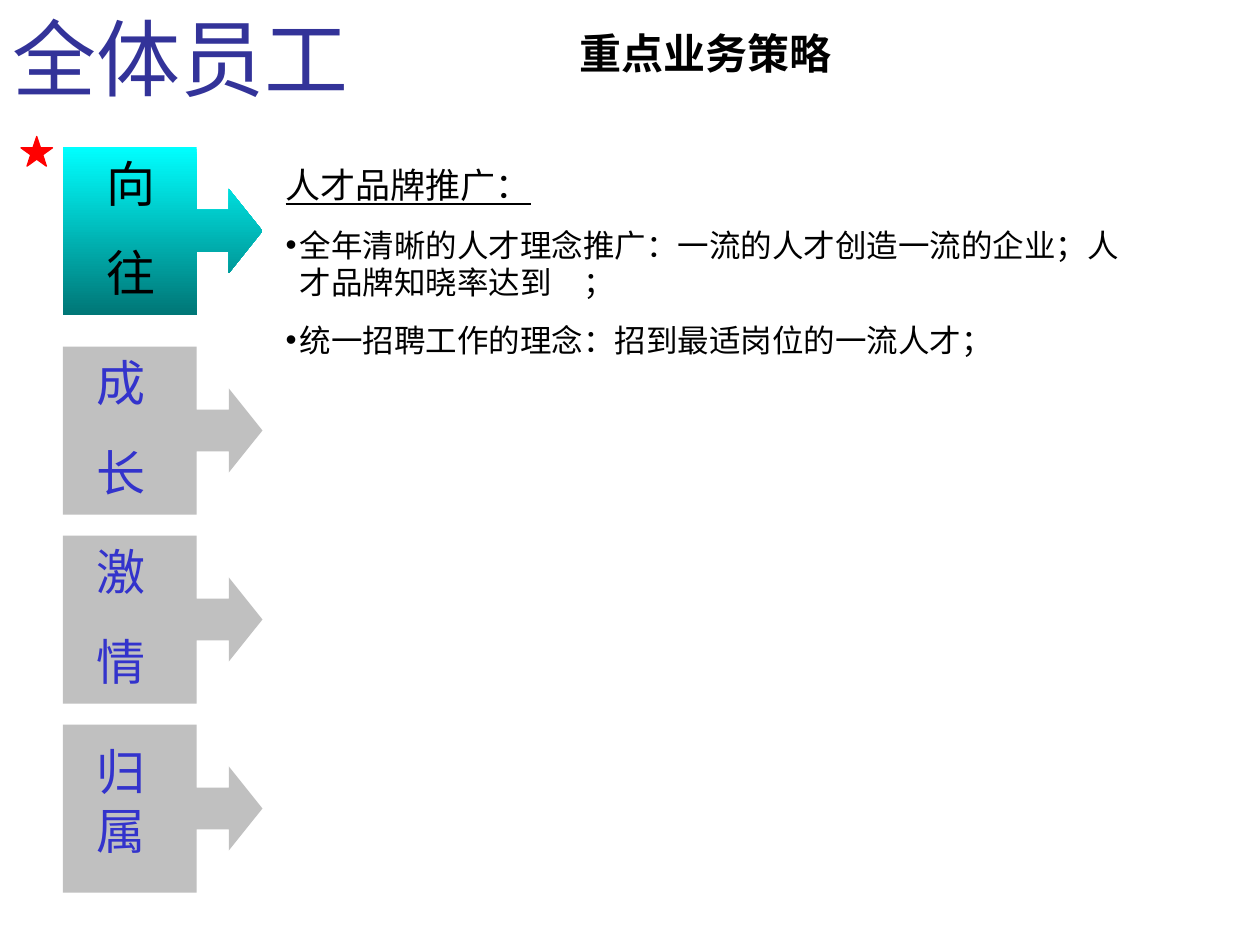
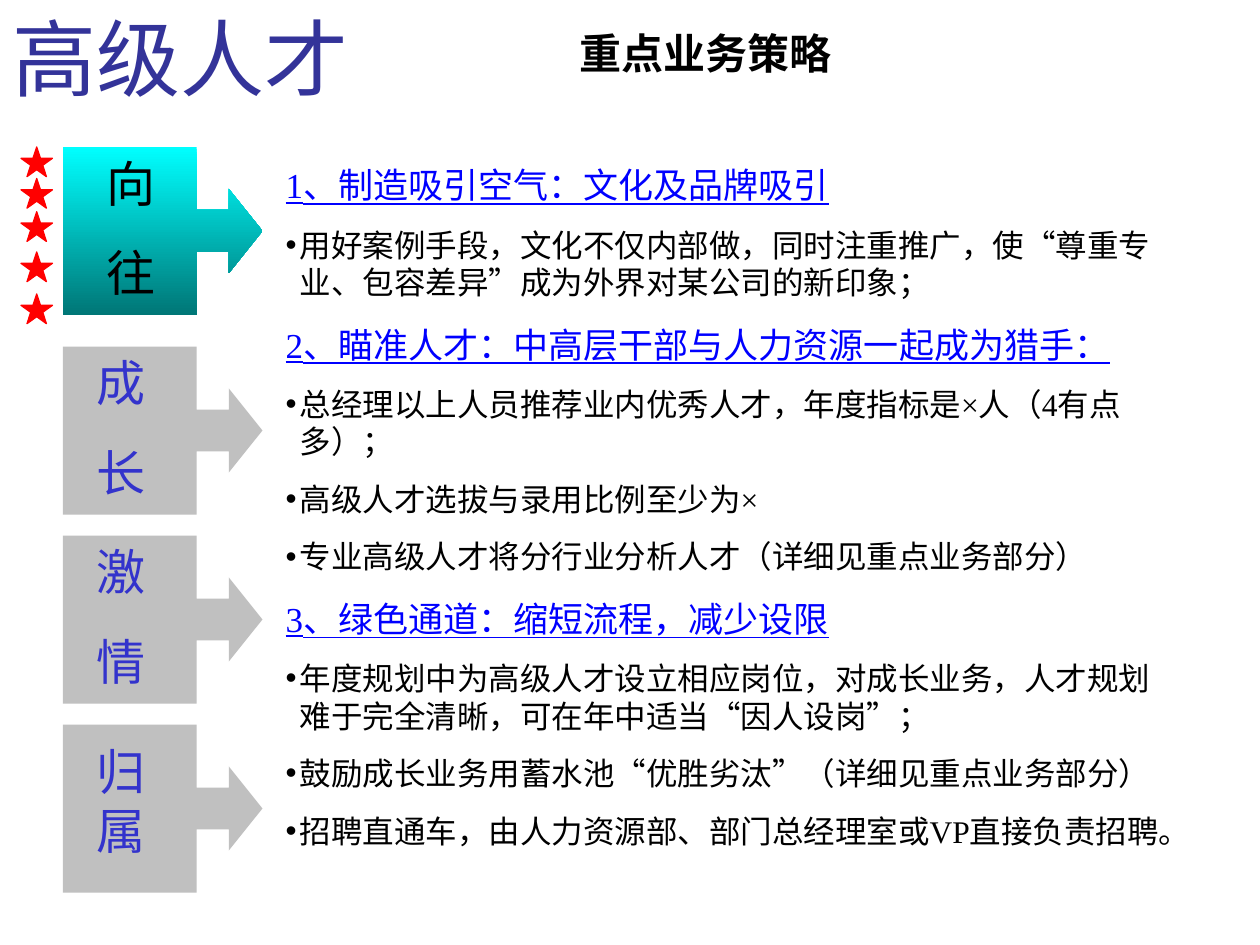
from dataclasses import dataclass

from lxml import etree
from pptx import Presentation
from pptx.dml.color import RGBColor as RGB
from pptx.enum.shapes import MSO_SHAPE as SHAPE
from pptx.enum.text import MSO_ANCHOR as ANCHOR, MSO_AUTO_SIZE as AUTO_SIZE, PP_ALIGN as ALIGN
from pptx.oxml.ns import qn
from pptx.util import Pt


@dataclass(frozen=True)
class Theme:
    title_font: str = "Cabin"
    text_font: str = "Times New Roman"
    title: RGB = RGB(0x33, 0x33, 0x99)
    text: RGB = RGB(0, 0, 0)
    heading: RGB = RGB(0, 0, 0xFF)
    idle_label: RGB = RGB(0x33, 0x33, 0xCC)
    idle_stage: RGB = RGB(0xC0, 0xC0, 0xC0)
    active_top: RGB = RGB(0, 0xFF, 0xFF)
    active_bottom: RGB = RGB(0, 0x76, 0x76)
    star: RGB = RGB(0xFF, 0, 0)
    title_size: int = 48
    label_size: int = 28
    topic_size: int = 24
    heading_size: int = 20
    bullet_size: int = 18


THEME = Theme()
HANG = 8
ACTIVE_TOP, IDLE_TOP, IDLE_STEP = 84, 198, 108
IDLE_STAGES = (["成", "长"], ["激", "情"], ["归属"])


def place(shape, left, top, width, height):
    shape.left, shape.top = Pt(left), Pt(top)
    shape.width, shape.height = Pt(width), Pt(height)


def prepare_frame(shape, anchor=ANCHOR.TOP):
    frame = shape.text_frame
    frame.word_wrap = True
    frame.auto_size = AUTO_SIZE.NONE
    frame.vertical_anchor = anchor
    return frame


def format_runs(paragraph, size, color, font=THEME.text_font, bold=False, underline=False):
    paragraph.alignment = ALIGN.LEFT
    for run in paragraph.runs:
        run.font.name = font
        run.font.size = Pt(size)
        run.font.color.rgb = color
        run.font.bold = bold
        run.font.underline = underline


def add_paragraphs(frame, texts, gaps):
    """Fill the frame, with a gap in points before each paragraph but the first."""
    frame.text = "\n".join(texts)
    for index, (paragraph, gap) in enumerate(zip(frame.paragraphs, gaps)):
        paragraph.space_before = Pt(gap if index else 0)
    return frame.paragraphs


def set_hanging_bullet(paragraph, bulleted):
    props = paragraph._p.get_or_add_pPr()
    props.set("marL", str(Pt(HANG)))
    props.set("indent", str(-Pt(HANG)))
    if bulleted:
        bullet_color = etree.SubElement(props, qn("a:buClr"))
        etree.SubElement(bullet_color, qn("a:srgbClr"), val=str(THEME.text))
        etree.SubElement(props, qn("a:buChar"), char="•")
    else:
        etree.SubElement(props, qn("a:buNone"))


def add_title(slide, audience):
    title = slide.shapes.title
    place(title, 0, 0, 698, 44)
    frame = prepare_frame(title)
    frame.text = audience
    format_runs(frame.paragraphs[0], THEME.title_size, THEME.title, THEME.title_font)


def add_topic(slide):
    topic = slide.shapes.add_textbox(Pt(324), 0, Pt(396), Pt(60))
    frame = prepare_frame(topic, ANCHOR.MIDDLE)
    frame.text = "重点业务策略"
    format_runs(frame.paragraphs[0], THEME.topic_size, THEME.text, bold=True)


def add_stage(slide, top, active=False):
    stage = slide.shapes.add_shape(SHAPE.RIGHT_ARROW_CALLOUT, Pt(36), Pt(top), Pt(114), Pt(96))
    for index, value in enumerate((0.25, 0.25, 0.2, 0.67)):
        stage.adjustments[index] = value
    stage.shadow.inherit = False
    stage.line.fill.background()
    if active:
        stage.fill.gradient()
        stage.fill.gradient_angle = 270
        for stop, color in zip(stage.fill.gradient_stops, (THEME.active_top, THEME.active_bottom)):
            stop.color.rgb = color
    else:
        stage.fill.solid()
        stage.fill.fore_color.rgb = THEME.idle_stage


def add_label(slide, left, top, lines, color):
    label = slide.shapes.add_textbox(Pt(left), Pt(top), Pt(54), Pt(92 if len(lines) > 1 else 75))
    for paragraph in add_paragraphs(prepare_frame(label), lines, [17.5] * len(lines)):
        format_runs(paragraph, THEME.label_size, color)


def add_stages(slide):
    add_stage(slide, ACTIVE_TOP, active=True)
    add_label(slide, 54, ACTIVE_TOP, ["向", "往"], THEME.text)
    for index, lines in enumerate(IDLE_STAGES):
        top = IDLE_TOP + index * IDLE_STEP
        add_stage(slide, top)
        one_line_offset = 6 if len(lines) == 1 else 0
        add_label(slide, 48, top + one_line_offset, lines, THEME.idle_label)


def add_star(slide, top):
    star = slide.shapes.add_shape(SHAPE.STAR_5_POINT, Pt(12), Pt(top), Pt(18), Pt(17))
    star.shadow.inherit = False
    star.fill.solid()
    star.fill.fore_color.rgb = THEME.star
    star.line.color.rgb = THEME.star
    star.line.width = Pt(0.75)


def add_strategies(slide, sections, width, height, heading_color):
    """Write each section's underlined heading and its bullets in the body placeholder."""
    body = slide.placeholders[1]
    place(body, 156, 90, width, height)
    entries = [(text, index > 0)
               for heading, bullets in sections
               for index, text in enumerate([heading, *bullets])]
    gaps = [11.25 if bulleted else 12.5 for _, bulleted in entries]
    paragraphs = add_paragraphs(prepare_frame(body), [text for text, _ in entries], gaps)
    for paragraph, (_, bulleted) in zip(paragraphs, entries):
        set_hanging_bullet(paragraph, bulleted)
        if bulleted:
            format_runs(paragraph, THEME.bullet_size, THEME.text)
        else:
            format_runs(paragraph, THEME.heading_size, heading_color, underline=True)


def add_strategy_slide(deck, audience, star_tops, sections, width, height, heading_color):
    slide = deck.slides.add_slide(deck.slide_layouts[1])
    add_title(slide, audience)
    add_stages(slide)
    add_strategies(slide, sections, width, height, heading_color)
    add_topic(slide)
    for top in star_tops:
        add_star(slide, top)


def main():
    deck = Presentation()
    deck.slide_width, deck.slide_height = Pt(720), Pt(540)

    all_staff = [
        ("人才品牌推广：", [
            "全年清晰的人才理念推广：一流的人才创造一流的企业；人才品牌知晓率达到　；",
            "统一招聘工作的理念：招到最适岗位的一流人才；",
        ]),
    ]
    add_strategy_slide(deck, "全体员工", [78], all_staff, 498, 152, THEME.text)

    senior_talent = [
        ("1、制造吸引空气：文化及品牌吸引", [
            "用好案例手段，文化不仅内部做，同时注重推广，使“尊重专业、包容差异”成为外界对某公司的新印象；",
        ]),
        ("2、瞄准人才：中高层干部与人力资源一起成为猎手：", [
            "总经理以上人员推荐业内优秀人才，年度指标是×人（4有点多）；",
            "高级人才选拔与录用比例至少为×",
            "专业高级人才将分行业分析人才（详细见重点业务部分）",
        ]),
        ("3、绿色通道：缩短流程，减少设限", [
            "年度规划中为高级人才设立相应岗位，对成长业务，人才规划难于完全清晰，可在年中适当“因人设岗”；",
            "鼓励成长业务用蓄水池“优胜劣汰”（详细见重点业务部分）",
            "招聘直通车，由人力资源部、部门总经理室或VP直接负责招聘。",
        ]),
    ]
    add_strategy_slide(deck, "高级人才", [84, 102, 121, 144, 168], senior_talent,
                       516, 450, THEME.heading)

    deck.save("out.pptx")


if __name__ == "__main__":
    main()
